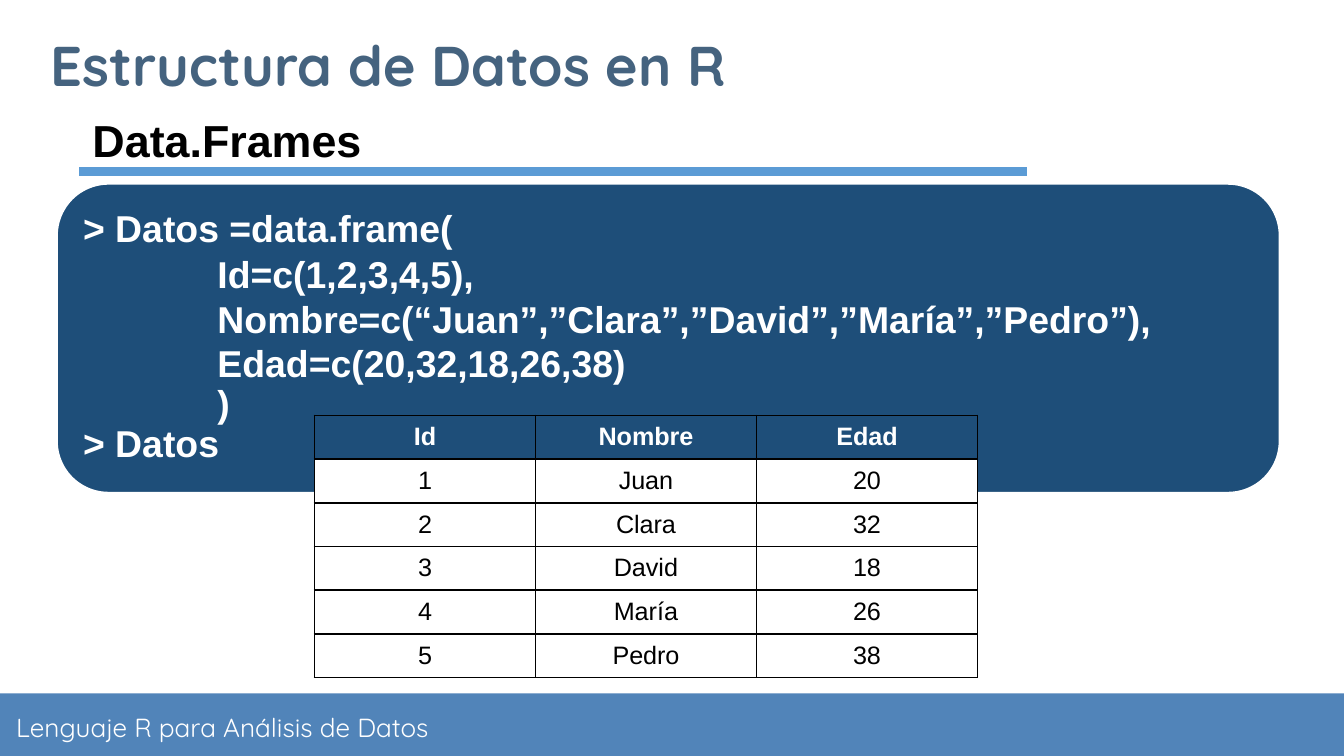
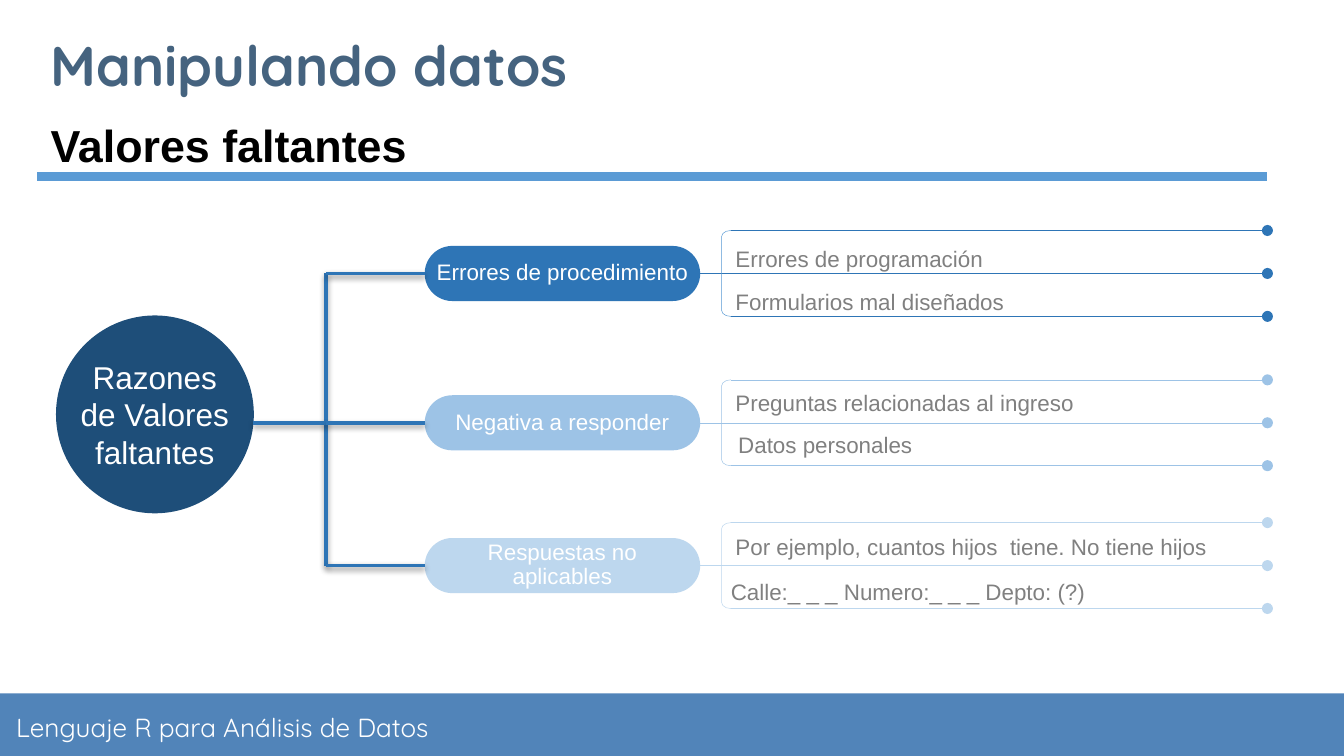
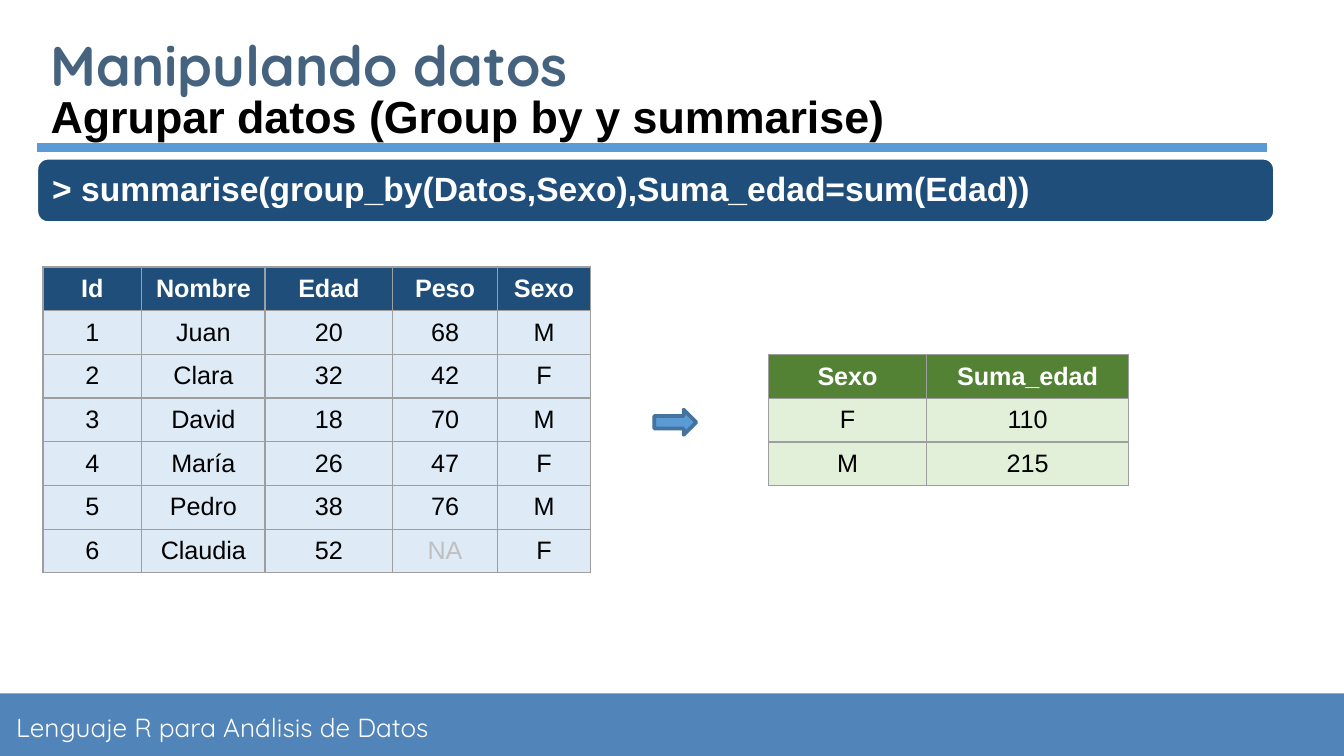
from lxml.etree import SubElement
from pptx import Presentation
from pptx.dml.color import RGBColor
from pptx.enum.shapes import MSO_CONNECTOR as Connector, MSO_SHAPE as Shape
from pptx.enum.text import MSO_ANCHOR as Anchor, PP_ALIGN as Align
from pptx.oxml.ns import qn
from pptx.util import Pt

WHITE = RGBColor(0xFF, 0xFF, 0xFF)
BLACK = RGBColor(0x00, 0x00, 0x00)
GRAY = RGBColor(0x80, 0x80, 0x80)
LIGHT_GRAY = RGBColor(0xBF, 0xBF, 0xBF)
BORDER_GRAY = RGBColor(0x9E, 0x9E, 0x9E)
FOOTER_BLUE = RGBColor(0x51, 0x84, 0xB9)
TITLE_BLUE = RGBColor(0x45, 0x63, 0x7F)
RULE_BLUE = RGBColor(0x5B, 0x9B, 0xD5)
ARROW_EDGE = RGBColor(0x43, 0x73, 0x9E)
NAVY = RGBColor(0x1E, 0x4E, 0x79)
MID_BLUE = RGBColor(0x2E, 0x75, 0xB6)
BRACKET_BLUE = RGBColor(0x56, 0x98, 0xD3)
SOFT_BLUE = RGBColor(0x9D, 0xC3, 0xE6)
PALE_BLUE = RGBColor(0xBD, 0xD7, 0xEE)
ICE_BLUE = RGBColor(0xDE, 0xEB, 0xF7)
GREEN = RGBColor(0x54, 0x82, 0x35)
PALE_GREEN = RGBColor(0xE2, 0xF0, 0xD9)

WIDTH, HEIGHT = 720, 405
FOOTER_TOP = 371.5
ROUNDING = 0.167

TITLE = {"name": "Quicksand", "size": Pt(30), "bold": True, "color": TITLE_BLUE}
FOOTER = {"name": "Quicksand", "size": Pt(14), "color": WHITE}
SUBTITLE = {"name": "Arial", "size": Pt(24), "bold": True, "color": BLACK}
CODE = {"name": "Arial", "size": Pt(20), "bold": True, "color": WHITE}
HUB = {"name": "Arial", "size": Pt(16.9), "color": WHITE}
PILL = {"name": "Arial", "size": Pt(12), "color": WHITE}
NOTE = {"name": "Arial", "size": Pt(12), "color": GRAY}
HEADER_CELL = {"name": "Arial", "size": Pt(13.5), "bold": True, "color": WHITE}
BODY_CELL = {"name": "Arial", "size": Pt(13.5), "bold": False, "color": BLACK}


def points(*values):
    return [Pt(value) for value in values]


def apply_format(target, values):
    for name, value in values.items():
        if name == "color":
            target.color.rgb = value
        else:
            setattr(target, name, value)


def write_paragraph(paragraph, text, font, **layout):
    paragraph.text = text
    apply_format(paragraph, layout)
    for run in paragraph.runs:
        apply_format(run.font, font)


def set_frame(frame, insets, anchor=Anchor.TOP, wrap=True):
    """Set the wrap, anchor and the (horizontal, vertical) insets of a text frame."""
    across, down = points(*insets)
    apply_format(frame, {
        "word_wrap": wrap, "vertical_anchor": anchor,
        "margin_left": across, "margin_right": across,
        "margin_top": down, "margin_bottom": down,
    })


def add_text(slide, box, text, font, insets=(7.2, 7.2), anchor=Anchor.MIDDLE, **layout):
    frame = slide.shapes.add_textbox(*points(*box)).text_frame
    set_frame(frame, insets, anchor)
    write_paragraph(frame.paragraphs[0], text, font, **layout)
    return frame


def add_figure(slide, kind, box, fill=None, edge=None, edge_width=1, rounding=None):
    shape = slide.shapes.add_shape(kind, *points(*box))
    shape.shadow.inherit = False
    if fill is None:
        shape.fill.background()
    else:
        shape.fill.solid()
        shape.fill.fore_color.rgb = fill
    if edge is None:
        shape.line.fill.background()
    else:
        apply_format(shape.line, {"color": edge, "width": Pt(edge_width)})
    if rounding is not None:
        shape.adjustments[0] = rounding
    return shape


def add_line(slide, start, end, color, width, dot=False, shadow=False):
    line = slide.shapes.add_connector(Connector.STRAIGHT, *points(*start, *end))
    apply_format(line.line, {"color": color, "width": Pt(width)})
    properties = line._element.spPr
    if dot:
        SubElement(properties.find(qn("a:ln")), qn("a:tailEnd"), type="oval")
    effects = SubElement(properties, qn("a:effectLst"))
    if shadow:
        outer = SubElement(effects, qn("a:outerShdw"), blurRad=str(Pt(3.1)),
                           dist=str(Pt(1.6)), dir="5400000", rotWithShape="0")
        tint = SubElement(outer, qn("a:srgbClr"), val=str(BLACK))
        SubElement(tint, qn("a:alpha"), val="38000")
    return line


def add_subtitle(slide, text, left, top, width, rule_end):
    """Write the subtitle with the thick rule under it."""
    add_text(slide, (left, top, width, 36), text, SUBTITLE, (7.2, 3.6), Anchor.TOP)
    add_line(slide, (left, top + 35), (rule_end, top + 35), RULE_BLUE, 4.5)


def add_code_panel(slide, box, padding, lines, size):
    """Draw a rounded panel with code; each line is (text, indent, line spacing)."""
    add_figure(slide, Shape.ROUNDED_RECTANGLE, box, NAVY, WHITE, rounding=ROUNDING)
    left, top, width, height = box
    inner = (left + padding, top + padding, width - 2 * padding, height - 2 * padding)
    font = {**CODE, "size": Pt(size)}
    frame = slide.shapes.add_textbox(*points(*inner)).text_frame
    set_frame(frame, (6, 6), Anchor.MIDDLE)
    for index, (text, indent, spacing) in enumerate(lines):
        paragraph = frame.add_paragraph() if index else frame.paragraphs[0]
        write_paragraph(paragraph, text, font, line_spacing=spacing)
        if indent:
            paragraph._p.get_or_add_pPr().set("marL", str(Pt(indent)))


def add_cell_borders(cell, color, width):
    properties = cell._tc.get_or_add_tcPr()
    for side in ("lnL", "lnR", "lnT", "lnB"):
        border = SubElement(properties, qn(f"a:{side}"), w=str(Pt(width)))
        fill = SubElement(border, qn("a:solidFill"))
        SubElement(fill, qn("a:srgbClr"), val=str(color))


def add_data_table(slide, left, top, widths, row_height, rows, fills, border):
    """Add a table; fills is (header, body) and border is (color, width)."""
    box = points(left, top, sum(widths), row_height * len(rows))
    table = slide.shapes.add_table(len(rows), len(widths), *box).table
    table.horz_banding = False
    for column, width in zip(table.columns, widths):
        column.width = Pt(width)
    for row_index, values in enumerate(rows):
        table.rows[row_index].height = Pt(row_height)
        for column_index, value in enumerate(values):
            cell = table.cell(row_index, column_index)
            cell.vertical_anchor = Anchor.MIDDLE
            add_cell_borders(cell, *border)
            cell.fill.solid()
            cell.fill.fore_color.rgb = fills[min(row_index, 1)]
            font = BODY_CELL if row_index else HEADER_CELL
            if value == "NA":
                font = {**font, "color": LIGHT_GRAY}
            write_paragraph(cell.text_frame.paragraphs[0], value, font,
                            alignment=Align.CENTER)


def add_branch(slide, middle, text, color, bracket_color, trunk_x):
    """Draw one reason: its pill, the line from the trunk and the bracket of rules."""
    pill_left, pill_width, pill_height = 227.5, 147.6, 29.5
    bracket_left, bracket_width, reach = 386.6, 5, 23
    rules_end = 679
    pill = add_figure(slide, Shape.ROUNDED_RECTANGLE,
                      (pill_left, middle - pill_height / 2, pill_width, pill_height),
                      color, rounding=0.5)
    set_frame(pill.text_frame, (1.44, 1.44), Anchor.MIDDLE)
    write_paragraph(pill.text_frame.paragraphs[0], text, PILL,
                    alignment=Align.CENTER, line_spacing=0.9)
    stem = add_line(slide, (pill_left, middle), (trunk_x, middle), MID_BLUE, 2, shadow=True)
    stem.begin_connect(pill, 1)

    bracket_right = bracket_left + bracket_width
    link = add_line(slide, (pill_left + pill_width, middle), (bracket_right, middle),
                    color, 0.25)
    link.begin_connect(pill, 3)
    add_figure(slide, Shape.LEFT_BRACKET,
               (bracket_left, middle - reach, bracket_width, 2 * reach),
               edge=bracket_color, edge_width=0.25, rounding=0.653)
    for y in (middle, middle - reach, middle + reach):
        add_line(slide, (bracket_right, y), (rules_end, y), color, 0.25, dot=True)


def add_base_slide(presentation, title):
    """Add a blank slide with the footer band and the title."""
    slide = presentation.slides.add_slide(presentation.slide_layouts[6])
    add_figure(slide, Shape.RECTANGLE,
               (0, FOOTER_TOP, WIDTH, HEIGHT - FOOTER_TOP), FOOTER_BLUE)
    add_text(slide, (1.5, 372.5, 358, 33.5), "Lenguaje R para Análisis de Datos", FOOTER)
    add_text(slide, (20, 16, 474.5, 36.5), title, TITLE)
    return slide


def build_data_frames(presentation):
    slide = add_base_slide(presentation, "Estructura de Datos en R")
    add_subtitle(slide, "Data.Frames", 42.5, 57, 160, 550)
    add_code_panel(slide, (30.5, 98.5, 655, 165.5), 8, [
        ("> Datos =data.frame(", 0, 0.9),
        ("Id=c(1,2,3,4,5),", 72, 1.0),
        ("Nombre=c(“Juan”,”Clara”,”David”,”María”,”Pedro”),", 72, 1.0),
        ("Edad=c(20,32,18,26,38)", 72, 1.0),
        (")", 72, 0.9),
        ("> Datos", 0, 0.9),
    ], 20)
    add_data_table(slide, 168.5, 222.5, [118.4] * 3, 22.3, [
        ("Id", "Nombre", "Edad"),
        ("1", "Juan", "20"),
        ("2", "Clara", "32"),
        ("3", "David", "18"),
        ("4", "María", "26"),
        ("5", "Pedro", "38"),
    ], (NAVY, WHITE), (BLACK, 1))


def build_missing_values(presentation):
    slide = add_base_slide(presentation, "Manipulando datos")
    add_subtitle(slide, "Valores faltantes", 20, 59.5, 673, 679)

    hub = add_figure(slide, Shape.OVAL, (30, 169, 106, 106), NAVY)
    set_frame(hub.text_frame, (0, 0), Anchor.MIDDLE, wrap=False)
    write_paragraph(hub.text_frame.paragraphs[0], "Razones\vde Valores\vfaltantes", HUB,
                    alignment=Align.CENTER)

    trunk_x = 174.5
    top, center, bottom = 146.5, 226.5, 303
    add_line(slide, (trunk_x, top), (trunk_x, bottom), MID_BLUE, 2, shadow=True)
    add_line(slide, (trunk_x, center), (135.5, center), MID_BLUE, 2, shadow=True)
    for middle, text, color, bracket_color in (
        (top, "Errores de procedimiento", MID_BLUE, BRACKET_BLUE),
        (center, "Negativa a responder", SOFT_BLUE, SOFT_BLUE),
        (bottom, "Respuestas no aplicables", PALE_BLUE, PALE_BLUE),
    ):
        add_branch(slide, middle, text, color, bracket_color, trunk_x)

    for left, y, width, text in (
        (389, 122.5, 222.5, "Errores de programación"),
        (389, 145.5, 222.5, "Formularios mal diseñados"),
        (389, 200, 222.5, "Preguntas relacionadas al ingreso"),
        (390.5, 222.5, 222.5, "Datos personales"),
        (389, 277, 267, "Por ejemplo, cuantos hijos  tiene. No tiene hijos"),
        (386.5, 301, 284.5, "Calle:_ _ _ Numero:_ _ _ Depto: (?)"),
    ):
        add_text(slide, (left, y, width, 24), text, NOTE, (5, 2.9), Anchor.TOP,
                 line_spacing=1.4, space_before=Pt(7.5))


def build_grouping(presentation):
    slide = add_base_slide(presentation, "Manipulando datos")
    add_code_panel(slide, (20, 85, 662.5, 34), 2,
                   [("> summarise(group_by(Datos,Sexo),Suma_edad=sum(Edad))", 0, 0.9)], 18)
    add_subtitle(slide, "Agrupar datos (Group by y summarise)", 20, 44, 673, 679)
    border = (BORDER_GRAY, 0.75)
    add_data_table(slide, 411.5, 190, [85, 108], 23.4, [
        ("Sexo", "Suma_edad"),
        ("F", "110"),
        ("M", "215"),
    ], (GREEN, PALE_GREEN), border)
    add_data_table(slide, 23, 143, [53, 66, 68.5, 56, 50], 23.4, [
        ("Id", "Nombre", "Edad", "Peso", "Sexo"),
        ("1", "Juan", "20", "68", "M"),
        ("2", "Clara", "32", "42", "F"),
        ("3", "David", "18", "70", "M"),
        ("4", "María", "26", "47", "F"),
        ("5", "Pedro", "38", "76", "M"),
        ("6", "Claudia", "52", "NA", "F"),
    ], (NAVY, ICE_BLUE), border)
    add_figure(slide, Shape.RIGHT_ARROW, (350.5, 219.5, 22.5, 13.5),
               RULE_BLUE, ARROW_EDGE, 2)


def main():
    presentation = Presentation()
    presentation.slide_width, presentation.slide_height = points(WIDTH, HEIGHT)
    build_data_frames(presentation)
    build_missing_values(presentation)
    build_grouping(presentation)
    presentation.save("out.pptx")


if __name__ == "__main__":
    main()
